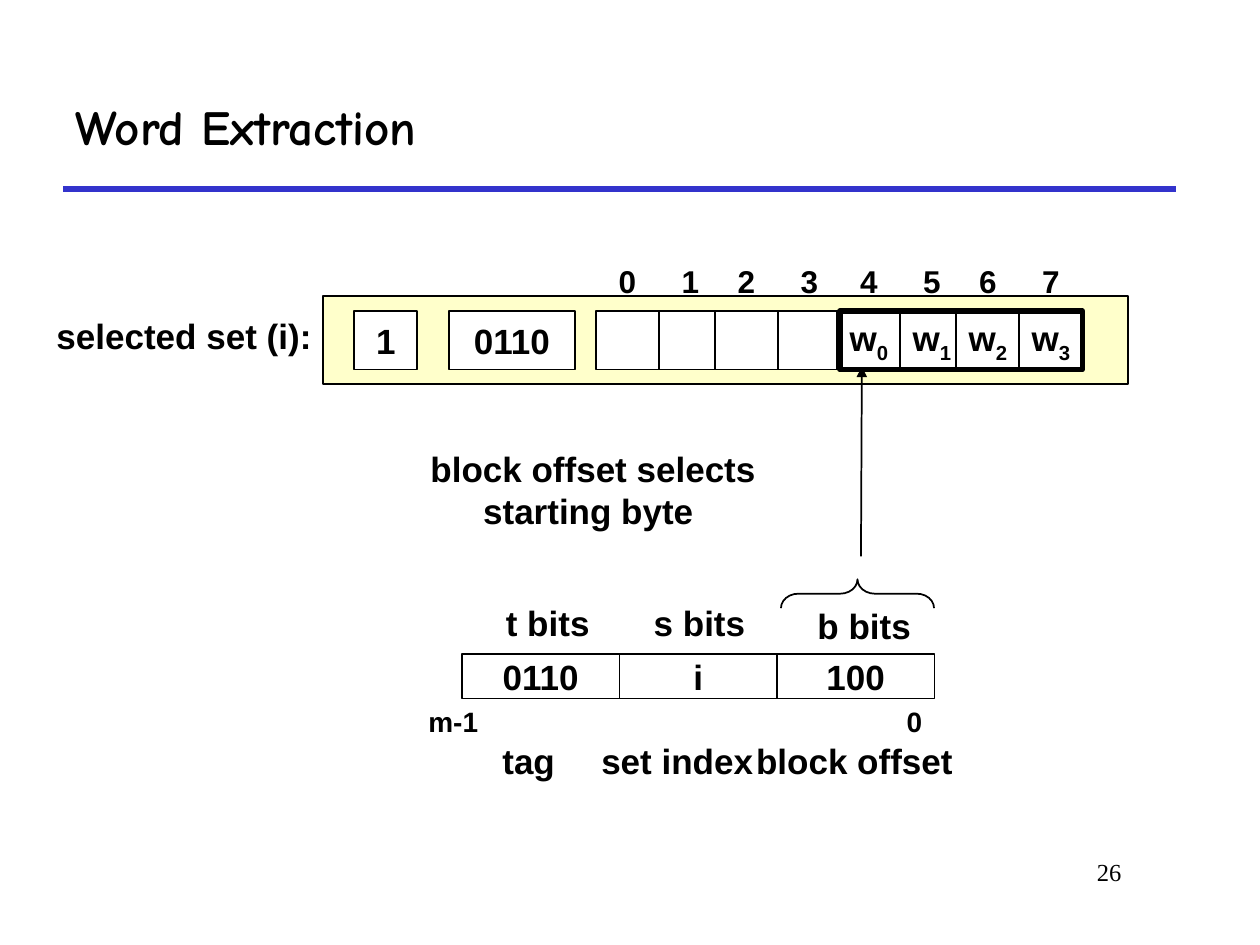
from dataclasses import dataclass
from typing import Optional

from lxml.etree import SubElement
from pptx import Presentation
from pptx.dml.color import RGBColor
from pptx.enum.shapes import MSO_CONNECTOR as Conn, MSO_SHAPE as Shape
from pptx.enum.text import MSO_ANCHOR as Anchor, MSO_AUTO_SIZE as AutoSize, PP_ALIGN as Align
from pptx.oxml.ns import qn
from pptx.util import Pt


@dataclass(frozen=True)
class Theme:
    ink: str = "000000"
    paper: str = "FFFFFF"
    rule: str = "3333CC"
    band: str = "FFFF99"
    font: str = "Arial"
    title_font: str = "Comic Neue"
    number_font: str = "Times New Roman"
    title: float = 28
    body: float = 20
    index: float = 18
    bit: float = 16
    number: float = 14
    thin: float = 1
    thick: float = 3


T = Theme()


@dataclass(frozen=True)
class Box:
    left: float
    top: float
    width: float
    height: float
    text: str = ""
    fill: Optional[str] = None
    line: float = T.thin


@dataclass(frozen=True)
class Label:
    text: str
    left: float
    top: float
    width: float
    height: float
    size: float = T.body
    align: Align = Align.LEFT
    anchor: Anchor = Anchor.TOP
    wrap: bool = False


def rgb(color: str) -> RGBColor:
    return RGBColor.from_string(color)


def write(tf, text: str, *, size: float = T.body, font: str = T.font, bold: bool = True,
          align: Align = Align.CENTER, anchor: Anchor = Anchor.MIDDLE,
          wrap: bool = False, grow: bool = False) -> None:
    """Write one paragraph per line; the part after "_" is a subscript."""
    tf.word_wrap = wrap
    tf.auto_size = AutoSize.SHAPE_TO_FIT_TEXT if grow else AutoSize.NONE
    tf.vertical_anchor = anchor
    for i, line in enumerate(text.split("\n")):
        p = tf.paragraphs[0] if i == 0 else tf.add_paragraph()
        p.alignment = align
        for j, part in enumerate(line.split("_")):
            r = p.add_run()
            r.text = part
            r.font.name, r.font.size, r.font.bold = font, Pt(size), bold
            r.font.color.rgb = rgb(T.ink)
            if j:
                r._r.get_or_add_rPr().set("baseline", "-25000")


def draw_text(s, left: float, top: float, width: float, height: float, text: str, **fmt) -> None:
    sp = s.shapes.add_textbox(Pt(left), Pt(top), Pt(width), Pt(height))
    write(sp.text_frame, text, **fmt)


def draw_label(s, lb: Label) -> None:
    draw_text(s, lb.left, lb.top, lb.width, lb.height, lb.text, size=lb.size,
              align=lb.align, anchor=lb.anchor, wrap=lb.wrap, grow=True)


def draw_shape(s, b: Box, kind: Shape = Shape.RECTANGLE):
    sp = s.shapes.add_shape(kind, Pt(b.left), Pt(b.top), Pt(b.width), Pt(b.height))
    sp.shadow.inherit = False
    if b.fill:
        sp.fill.solid()
        sp.fill.fore_color.rgb = rgb(b.fill)
    else:
        sp.fill.background()
    sp.line.color.rgb = rgb(T.ink)
    sp.line.width = Pt(b.line)
    if b.text:
        write(sp.text_frame, b.text)
    return sp


def draw_line(s, x1: float, y1: float, x2: float, y2: float, *, color: str = T.ink,
              width: float = T.thin, arrow: bool = False) -> None:
    c = s.shapes.add_connector(Conn.STRAIGHT, Pt(x1), Pt(y1), Pt(x2), Pt(y2))
    c.line.color.rgb = rgb(color)
    c.line.width = Pt(width)
    if arrow:
        SubElement(c.line._get_or_add_ln(), qn("a:tailEnd"), type="triangle")
    SubElement(c._element.spPr, qn("a:effectLst"))


# Cache line: bytes stand in pairs, the second one cell after the first
ROW_TOP, ROW_H, CELL_W = 177.75, 33.5, 36
PAIR_LEFTS = (340.5, 408.5, 478.5, 546.5)
BYTE_LEFTS = [left + step for left in PAIR_LEFTS for step in (0, CELL_W)]
WORDS = ("", "", "", "", "w_0", "w_1", "w_2", "w_3")
BYTES = [Box(x, ROW_TOP, CELL_W, ROW_H, w, T.paper) for x, w in zip(BYTE_LEFTS, WORDS)]
TAG_BOXES = (
    Box(202.5, ROW_TOP, CELL_W, ROW_H, "1", T.paper),
    Box(256.5, ROW_TOP, 72, ROW_H, "0110", T.paper),
)

# Address: three equal fields
FIELD_LEFT, FIELD_W = 264, 90
FIELDS = [Box(FIELD_LEFT + i * FIELD_W, 373.75, FIELD_W, 25.5, text)
          for i, text in enumerate(("0110", "i", "100"))]

LABELS = (
    Label("selected set (i): ", 25, 176, 166, 31.5, align=Align.CENTER, anchor=Anchor.MIDDLE),
    Label("block offset selects\nstarting byte ", 210, 252.25, 258, 55.5,
          align=Align.CENTER, anchor=Anchor.MIDDLE, wrap=True),
    Label("t bits", 282, 340.25, 62.5, 31),
    Label("s bits", 366.5, 340.25, 67, 31),
    Label("b bits", 460, 342, 68, 31),
    Label("m-1", 237.5, 399, 43, 26.5, T.bit, Align.CENTER, Anchor.MIDDLE),
    Label("0", 511, 399, 23, 26.5, T.bit, Align.CENTER, Anchor.MIDDLE),
    Label("tag", 280, 418.75, 45, 31),
    Label("set index", 336.5, 418.75, 101.5, 31),
    Label("block offset", 425, 418.75, 127, 31),
)


def main() -> None:
    prs = Presentation()
    prs.slide_width, prs.slide_height = Pt(720), Pt(540)
    s = prs.slides.add_slide(prs.slide_layouts[6])

    # Title, rule and slide number
    draw_line(s, 36, 108, 672, 108, color=T.rule, width=T.thick)
    draw_text(s, 36, 36, 636, 72, "Word Extraction", size=T.title, font=T.title_font,
              align=Align.LEFT, wrap=True)
    draw_text(s, 546, 486, 102, 36, "26", size=T.number, font=T.number_font, bold=False,
              align=Align.RIGHT, anchor=Anchor.TOP, wrap=True)

    # Half-transparent band behind the cache line
    band = draw_shape(s, Box(184.5, 169, 460, 50.5, fill=T.band))
    SubElement(band.fill._xPr.find(f".//{qn('a:srgbClr')}"), qn("a:alpha"), val="50000")

    # Arrow from the offset to the first byte, under the cells
    draw_line(s, 492, 318, 492.5, 209.5, arrow=True)

    # Cells, address fields and the frame around the word
    for b in (*TAG_BOXES, *BYTES, *FIELDS):
        draw_shape(s, b)
    draw_shape(s, Box(480, ROW_TOP, 138.5, ROW_H, line=T.thick))

    # Byte numbers
    for i, x in enumerate(BYTE_LEFTS):
        draw_text(s, x, 144, CELL_W, ROW_H, str(i), size=T.index)

    # Brace over the offset field, turned to point up
    brace = draw_shape(s, Box(481.75, 295.5, 16.5, 87.5), Shape.RIGHT_BRACE)
    brace.rotation = 270
    brace.adjustments[0] = 0.6

    for lb in LABELS:
        draw_label(s, lb)
    prs.save("out.pptx")


if __name__ == "__main__":
    main()
